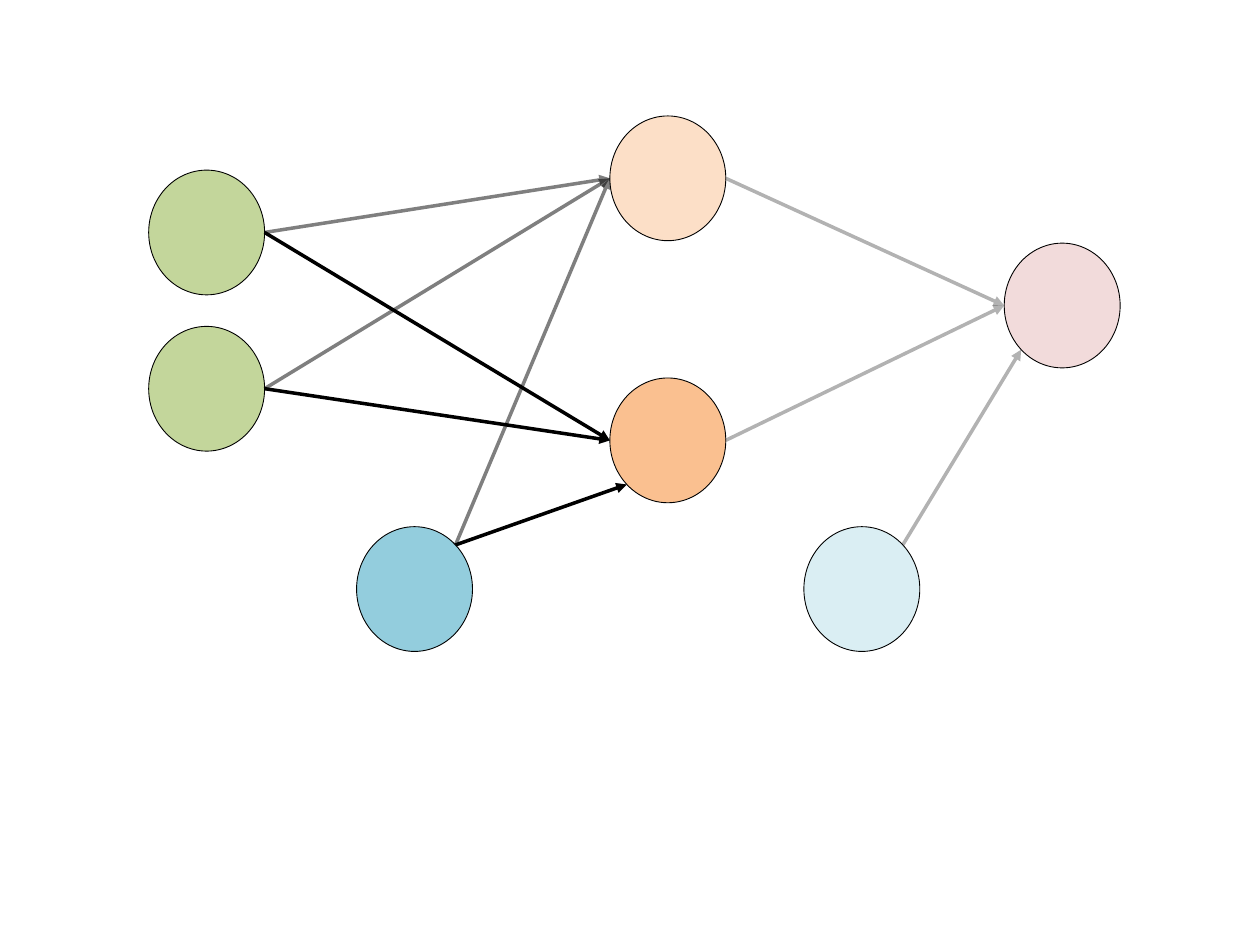
from math import cos, radians, sin

from pptx import Presentation
from pptx.dml.color import RGBColor
from pptx.enum.shapes import MSO_CONNECTOR, MSO_SHAPE
from pptx.oxml.ns import qn
from pptx.util import Inches, Pt
from lxml.etree import SubElement

COLORS = {
    "line": "000000",
    "input": "C3D69B",
    "hidden": "FAC090",
    "bias": "93CDDD",
    "output": "E6B9B8",
    "output_bias": "B7DEE8",
}
NODE_W, NODE_H = 0.92, 0.99

# name: (left, top, colour, opacity in percent), measured from the network's corner
NODES = {
    "input_1": (0, 0.43, "input", 100),
    "input_2": (0, 1.67, "input", 100),
    "hidden_1": (3.66, 0, "hidden", 50),
    "hidden_2": (3.66, 2.08, "hidden", 100),
    "output": (6.79, 1.01, "output", 50),
    "bias_1": (1.65, 3.26, "bias", 100),
    "bias_2": (5.2, 3.26, "output_bias", 50),
}

# An ellipse has eight connection sites, counter-clockwise from the top
LEFT, BOTTOM_LEFT, RIGHT, TOP_RIGHT = 2, 3, 6, 7

# from, site, to, site, opacity in percent
EDGES = [
    ("input_1", RIGHT, "hidden_1", LEFT, 50),
    ("input_2", RIGHT, "hidden_1", LEFT, 50),
    ("hidden_1", RIGHT, "output", LEFT, 30),
    ("input_1", RIGHT, "hidden_2", LEFT, 100),
    ("input_2", RIGHT, "hidden_2", LEFT, 100),
    ("hidden_2", RIGHT, "output", LEFT, 30),
    ("bias_1", TOP_RIGHT, "hidden_1", LEFT, 50),
    ("bias_1", TOP_RIGHT, "hidden_2", BOTTOM_LEFT, 100),
    ("bias_2", TOP_RIGHT, "output", BOTTOM_LEFT, 30),
]


def set_color(fill, name, opacity):
    fill.solid()
    fill.fore_color.rgb = RGBColor.from_string(COLORS[name])
    if opacity < 100:
        color = fill._xPr.find(qn("a:solidFill"))[0]
        SubElement(color, qn("a:alpha"), val=str(opacity * 1000))


def add_node(s, left, top, color, opacity):
    node = s.shapes.add_shape(MSO_SHAPE.OVAL, Inches(left), Inches(top),
                              Inches(NODE_W), Inches(NODE_H))
    node.shadow.inherit = False
    set_color(node.fill, color, opacity)
    set_color(node.line.fill, "line", 100)
    node.line.width = Pt(0.5)
    return node


def site_point(node, site):
    angle = radians(90 + 45 * site)
    return (round(node.left + node.width / 2 * (1 + cos(angle))),
            round(node.top + node.height / 2 * (1 - sin(angle))))


def add_edge(s, start, start_site, end, end_site, opacity):
    """Draw an arrow glued to one site of each ellipse."""
    edge = s.shapes.add_connector(MSO_CONNECTOR.STRAIGHT,
                                  *site_point(start, start_site),
                                  *site_point(end, end_site))
    set_color(edge.line.fill, "line", opacity)
    edge.line.width = Pt(2)
    SubElement(edge.line._get_or_add_ln(), qn("a:tailEnd"), type="triangle")
    SubElement(edge._element.spPr, qn("a:effectLst"))
    # begin_connect and end_connect know only the four sites of a rectangle
    glue = edge._element.find(".//" + qn("p:cNvCxnSpPr"))
    for tag, node, site in (("a:stCxn", start, start_site),
                            ("a:endCxn", end, end_site)):
        SubElement(glue, qn(tag), id=str(node.shape_id), idx=str(site))


def add_network(s, left, top):
    nodes = {name: add_node(s, left + x, top + y, color, opacity)
             for name, (x, y, color, opacity) in NODES.items()}
    for start, start_site, end, end_site, opacity in EDGES:
        add_edge(s, nodes[start], start_site, nodes[end], end_site, opacity)


def main():
    prs = Presentation()
    prs.slide_width, prs.slide_height = Inches(10), Inches(7.5)
    s = prs.slides.add_slide(prs.slide_layouts[6])
    add_network(s, 1.18, 0.92)
    prs.save("out.pptx")


if __name__ == "__main__":
    main()
